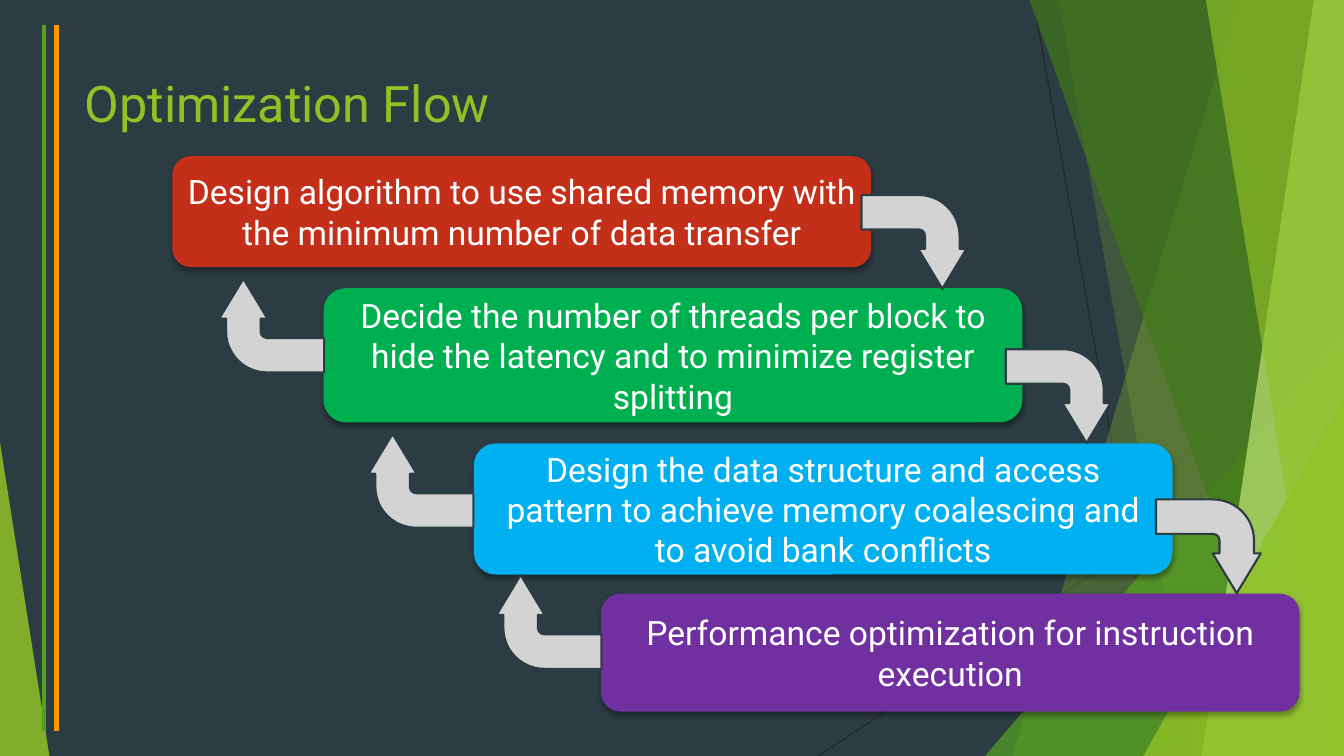
from lxml import etree
from pptx import Presentation
from pptx.dml.color import RGBColor
from pptx.enum import shapes, text
from pptx.oxml import ns
from pptx.util import Inches, Pt

DARK = RGBColor(0x2C, 0x3C, 0x43)
LIME = RGBColor(0x90, 0xC2, 0x26)
GREEN = RGBColor(0x54, 0xA0, 0x21)
MOSS = RGBColor(0x3F, 0x78, 0x19)
PALE = RGBColor(0xC0, 0xE4, 0x74)
INK = RGBColor(0x26, 0x26, 0x26)
ORANGE = RGBColor(0xFF, 0x99, 0x00)
GREY = RGBColor(0xD3, 0xD3, 0xD3)
WHITE = RGBColor(0xFF, 0xFF, 0xFF)
RED = RGBColor(0xC4, 0x2F, 0x1A)
LEAF = RGBColor(0x00, 0xB0, 0x50)
SKY = RGBColor(0x00, 0xB0, 0xF0)
PURPLE = RGBColor(0x70, 0x30, 0xA0)
FONT = "Roboto"
WIDE, HIGH = 13.33, 7.5

TITLE = "Optimization Flow"
# words, left, top, height, fill
STEPS = [
    ("Design algorithm to use shared memory with the minimum number of data transfer",
     1.71, 1.55, 1.1, RED),
    ("Decide the number of threads per block to hide the latency and to minimize register splitting",
     3.21, 2.86, 1.33, LEAF),
    ("Design the data structure and access pattern to achieve memory coalescing and to avoid bank conflicts",
     4.7, 4.4, 1.3, SKY),
    ("Performance optimization for instruction execution",
     5.96, 5.89, 1.17, PURPLE),
]
STEP_W = 6.93
# turn, then left and top of each arrow
ARROWS = [
    (90, [(8.6, 1.88), (10.03, 3.41), (11.52, 4.9)]),
    (270, [(4.98, 5.65), (3.71, 4.25), (2.23, 2.71)]),
]
ARROW_W, ARROW_H = 0.93, 1.04
BENDS = (0.368, 0.257, 0.425, 0.436)
# start, end, colour, points
THIN = [((10.25, 0), (11.58, HIGH), INK, 0.75), ((WIDE, 4.03), (8.12, HIGH), INK, 0.75)]
BARS = [((x, 0.25), (x, 7.25), hue, 3) for x, hue in ((0.44, GREEN), (0.56, ORANGE))]
# corners, colour, opacity in percent
RIGHT = [(WIDE, 0), (WIDE, HIGH)]
SHARDS = [
    ([(12.28, 0), *RIGHT, (10.04, HIGH)], LIME, 30),
    ([(10.5, 0), *RIGHT, (11.83, HIGH)], LIME, 20),
    ([(WIDE, 3.33), (WIDE, HIGH), (9.77, HIGH)], GREEN, 72),
    ([(10.21, 0), *RIGHT, (12.91, HIGH)], MOSS, 70),
    ([(13.03, 0), *RIGHT, (11.92, HIGH)], PALE, 70),
    ([(11.96, 0), *RIGHT, (13.18, HIGH)], LIME, 65),
    ([(WIDE, 3.93), (WIDE, HIGH), (11.34, HIGH)], LIME, 80),
    ([(0, 4.39), (0.49, HIGH), (0, HIGH)], LIME, 85),
]


def sub(node, tag, **attrs):
    return etree.SubElement(node, ns.qn(tag), {k: str(v) for k, v in attrs.items()})


def paint(shape, hue):
    """Solid fill, no line, no shadow."""
    shape.fill.solid()
    shape.fill.fore_color.rgb = hue
    shape.line.fill.background()
    shape.shadow.inherit = False


def rule(slide, start, end, hue, size):
    line = slide.shapes.add_connector(
        shapes.MSO_CONNECTOR.STRAIGHT, *map(Inches, start + end))
    line.line.color.rgb = hue
    line.line.width = Pt(size)
    sub(line._element.spPr, "a:effectLst")


def shard(slide, points, hue, alpha):
    spots = [(Inches(x), Inches(y)) for x, y in points]
    pen = slide.shapes.build_freeform(*spots[0])
    pen.add_line_segments(spots[1:], close=True)
    shape = pen.convert_to_shape()
    paint(shape, hue)
    tone = shape._element.spPr.find(".//" + ns.qn("a:srgbClr"))
    sub(tone, "a:alpha", val=alpha * 1000)


def write(para, words, size, hue):
    run = para.add_run()
    run.text = words
    run.font.name, run.font.size = FONT, Pt(size)
    run.font.color.rgb = hue


def step(slide, words, left, top, high, hue):
    box = slide.shapes.add_shape(
        shapes.MSO_SHAPE.ROUNDED_RECTANGLE, *map(Inches, (left, top, STEP_W, high)))
    paint(box, hue)
    glow = sub(box._element.spPr.find(ns.qn("a:effectLst")), "a:outerShdw",
               blurRad=Pt(3.5), dist=Pt(2.2), dir=90 * 60000, rotWithShape=0)
    sub(sub(glow, "a:srgbClr", val="000000"), "a:alpha", val=32000)
    frame = box.text_frame
    frame.word_wrap = True
    frame.vertical_anchor = text.MSO_ANCHOR.MIDDLE
    para = frame.paragraphs[0]
    para.alignment = text.PP_ALIGN.CENTER
    write(para, words, 24, WHITE)


def arrow(slide, left, top, turn):
    bend = slide.shapes.add_shape(
        shapes.MSO_SHAPE.BENT_ARROW, *map(Inches, (left, top, ARROW_W, ARROW_H)))
    paint(bend, GREY)
    bend.line.color.rgb = DARK
    bend.line.width = Pt(1.5)
    bend.rotation = turn
    for i, part in enumerate(BENDS):
        bend.adjustments[i] = part


def head(slide):
    title = slide.shapes.title
    title.left, title.top, title.width, title.height = map(Inches, (0.74, 0.67, 9.4, 1.44))
    frame = title.text_frame
    frame.word_wrap = True
    frame.vertical_anchor = text.MSO_ANCHOR.TOP
    para = frame.paragraphs[0]
    para.alignment = text.PP_ALIGN.LEFT
    write(para, TITLE, 36, LIME)


def main():
    deck = Presentation()
    deck.slide_width, deck.slide_height = Inches(WIDE), Inches(HIGH)
    slide = deck.slides.add_slide(deck.slide_layouts[5])
    slide.background.fill.solid()
    slide.background.fill.fore_color.rgb = DARK
    head(slide)
    for line in THIN:
        rule(slide, *line)
    for item in SHARDS:
        shard(slide, *item)
    for line in BARS:
        rule(slide, *line)
    for item in STEPS:
        step(slide, *item)
    for turn, spots in ARROWS:
        for left, top in spots:
            arrow(slide, left, top, turn)
    deck.save("out.pptx")


if __name__ == "__main__":
    main()
